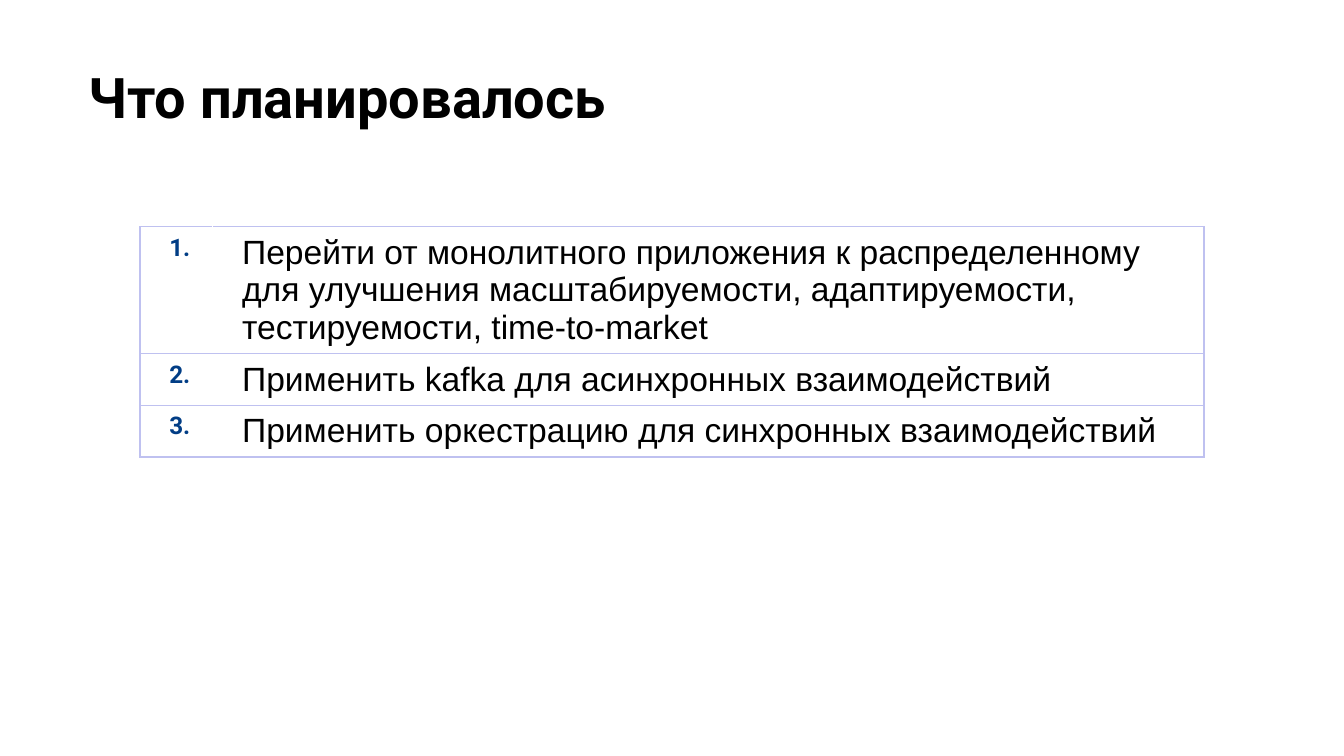
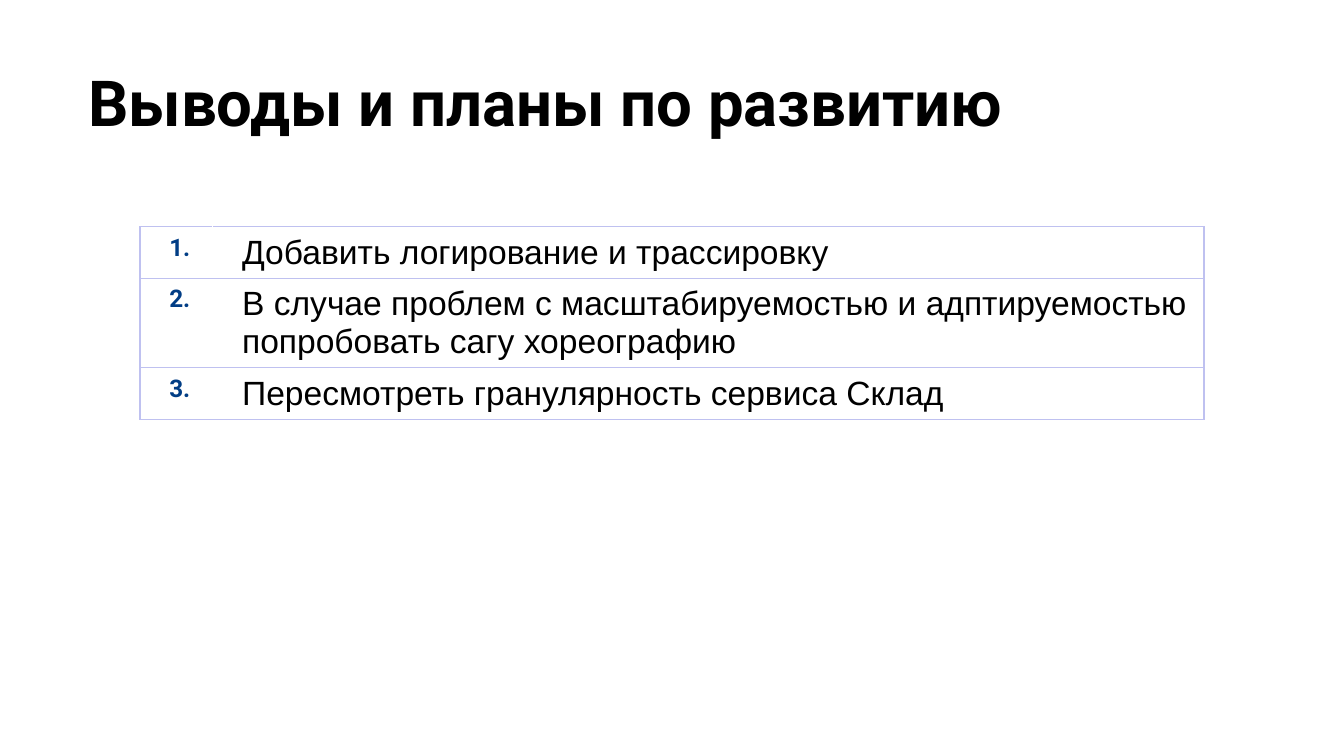
from dataclasses import dataclass

from lxml.etree import SubElement
from pptx import Presentation
from pptx.dml.color import RGBColor
from pptx.enum.text import MSO_ANCHOR, MSO_AUTO_SIZE, PP_ALIGN
from pptx.oxml.ns import qn
from pptx.slide import Slide
from pptx.table import _Cell
from pptx.text.text import TextFrame
from pptx.util import Emu, Pt

PX = 9525  # 96 px to the inch
SLIDE_WIDTH, SLIDE_HEIGHT = 960, 540
COLORS = {"text": "000000", "number": "013D85", "border": "BFC1F0", "divider": "FFFFFF"}
HEADING_FONT = "Roboto"
BODY_FONT = "Arial"
TITLE_BOX = (53, 35, 895, 115)
TITLE_INSET = 10
TABLE_LEFT, TABLE_TOP = 100, 162
COLUMN_WIDTHS = (52, 708)
ROW_HEIGHT = 34
CELL_INSETS = (21, 5, 10, 5)
BORDER_WIDTH = Pt(0.75)


@dataclass(frozen=True)
class ListPage:
    title: str
    title_size: int
    items: tuple[str, ...]


PAGES = (
    ListPage("Что планировалось", 30, (
        "Перейти от монолитного приложения к распределенному для улучшения "
        "масштабируемости, адаптируемости, тестируемости, time-to-market",
        "Применить kafka для асинхронных взаимодействий",
        "Применить оркестрацию для синхронных взаимодействий",
    )),
    ListPage("Выводы и планы по развитию", 34, (
        "Добавить логирование и трассировку",
        "В случае проблем с масштабируемостью и адптируемостью попробовать сагу хореографию",
        "Пересмотреть гранулярность сервиса Склад",
    )),
)


def px(length: int) -> Emu:
    return Emu(length * PX)


def write_text(frame: TextFrame, text: str, *, size: int, font: str = HEADING_FONT,
               color: str = "text", bold: bool = True) -> None:
    para = frame.paragraphs[0]
    para.alignment = PP_ALIGN.LEFT
    span = para.add_run()
    span.text = text
    span.font.name = font
    span.font.size = Pt(size)
    span.font.bold = bold
    span.font.color.rgb = RGBColor.from_string(COLORS[color])


def add_title(page: Slide, text: str, size: int) -> None:
    box = page.shapes.title
    box.left, box.top, box.width, box.height = map(px, TITLE_BOX)
    frame = box.text_frame
    frame.word_wrap = True
    frame.auto_size = MSO_AUTO_SIZE.NONE
    frame.vertical_anchor = MSO_ANCHOR.TOP
    frame.margin_left = frame.margin_right = px(TITLE_INSET)
    frame.margin_top = frame.margin_bottom = px(TITLE_INSET)
    write_text(frame, text, size=size)


def format_cell(cell: _Cell, divider_side: str) -> None:
    """Set insets, borders and fill; the divider side gets the pale inner line."""
    cell.margin_left, cell.margin_top, cell.margin_right, cell.margin_bottom = map(px, CELL_INSETS)
    cell.vertical_anchor = MSO_ANCHOR.TOP
    properties = cell._tc.get_or_add_tcPr()
    for side in "LRTB":
        line = SubElement(properties, qn(f"a:ln{side}"), w=str(BORDER_WIDTH))
        fill = SubElement(line, qn("a:solidFill"))
        color = "divider" if side == divider_side else "border"
        SubElement(fill, qn("a:srgbClr"), val=COLORS[color])
    cell.fill.background()


def add_numbered_table(page: Slide, items: tuple[str, ...]) -> None:
    frame = page.shapes.add_table(
        len(items), len(COLUMN_WIDTHS), px(TABLE_LEFT), px(TABLE_TOP),
        px(sum(COLUMN_WIDTHS)), px(ROW_HEIGHT * len(items)))
    table = frame.table
    table.first_row = table.horz_banding = False
    for column, width in zip(table.columns, COLUMN_WIDTHS):
        column.width = px(width)
    for index, item in enumerate(items):
        table.rows[index].height = px(ROW_HEIGHT)
        number_cell, item_cell = table.cell(index, 0), table.cell(index, 1)
        format_cell(number_cell, "R")
        format_cell(item_cell, "L")
        write_text(number_cell.text_frame, f"{index + 1}.", size=13, color="number")
        write_text(item_cell.text_frame, item, size=18, font=BODY_FONT, bold=False)


def main() -> None:
    deck = Presentation()
    deck.slide_width, deck.slide_height = px(SLIDE_WIDTH), px(SLIDE_HEIGHT)
    title_only = deck.slide_layouts[5]
    for content in PAGES:
        page = deck.slides.add_slide(title_only)
        add_title(page, content.title, content.title_size)
        add_numbered_table(page, content.items)
    deck.save("out.pptx")


if __name__ == "__main__":
    main()
